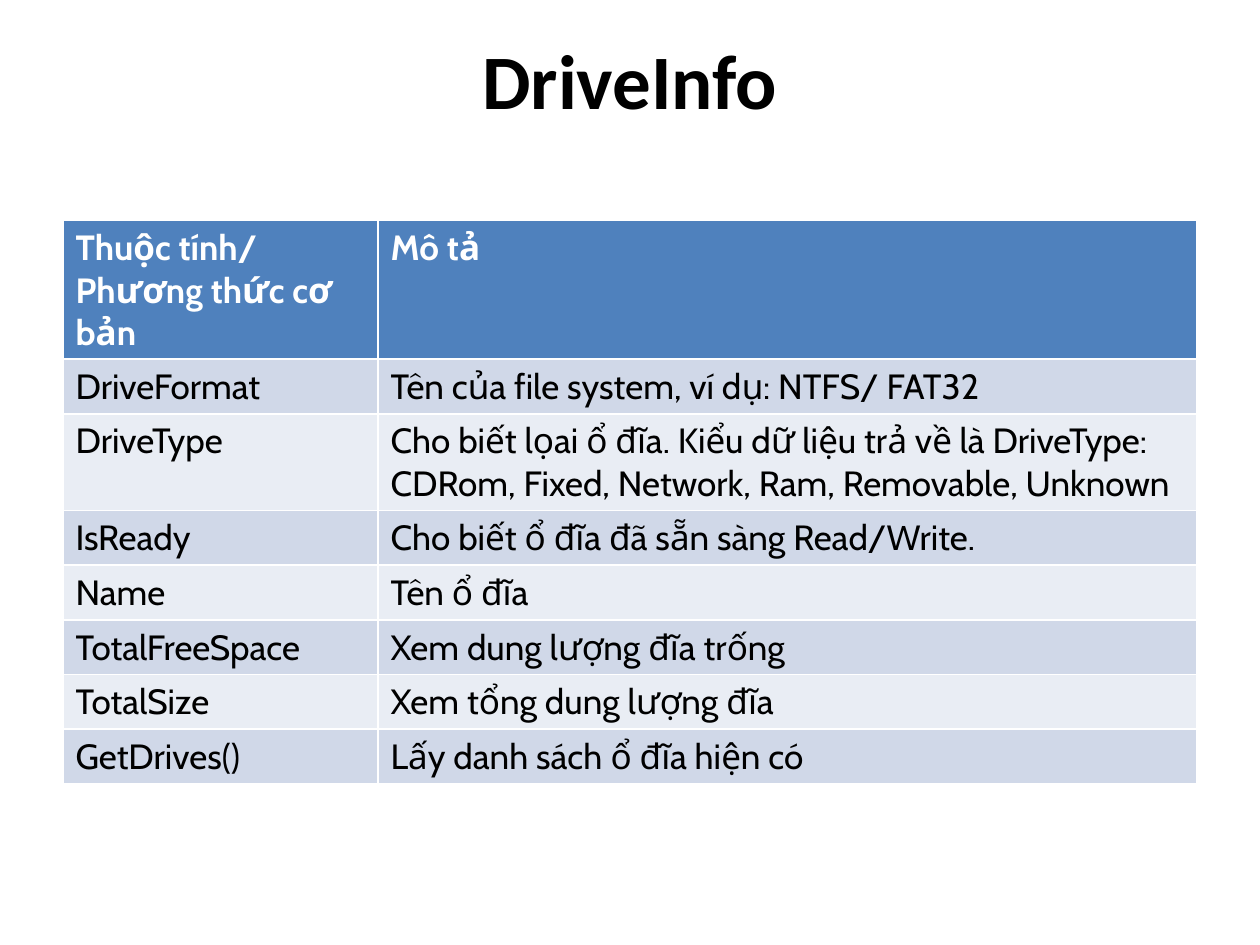
"""Build a slide with a table of the main DriveInfo members."""
from pptx import Presentation
from pptx.dml.color import RGBColor
from pptx.enum.text import MSO_ANCHOR, PP_ALIGN
from pptx.util import Inches, Pt

TITLE = "DriveInfo"
HEADER = ("Thuộc tính/ Phương thức cơ bản", "Mô tả")
MEMBERS = [
    ("DriveFormat", "Tên của file system, ví dụ: NTFS/ FAT32"),
    ("DriveType", "Cho biết lọai ổ đĩa. Kiểu dữ liệu trả về là DriveType: "
                  "CDRom, Fixed, Network, Ram, Removable, Unknown"),
    ("IsReady", "Cho biết ổ đĩa đã sẵn sàng Read/Write."),
    ("Name", "Tên ổ đĩa"),
    ("TotalFreeSpace", "Xem dung lượng đĩa trống"),
    ("TotalSize", "Xem tổng dung lượng đĩa"),
    ("GetDrives()", "Lấy danh sách ổ đĩa hiện có"),
]

BLACK = RGBColor(0x00, 0x00, 0x00)
WHITE = RGBColor(0xFF, 0xFF, 0xFF)
HEADER_BLUE = RGBColor(0x4F, 0x81, 0xBD)
BANDS = (RGBColor(0xE9, 0xED, 0xF4), RGBColor(0xD0, 0xD8, 0xE8))

SLIDE_WIDTH, SLIDE_HEIGHT = Inches(10), Inches(7.5)
MARGIN = Inches(0.5)
CONTENT_WIDTH = SLIDE_WIDTH - 2 * MARGIN
TITLE_HEIGHT = Inches(1.25)
TABLE_TOP = Inches(1.75)
ROW_HEIGHT = Inches(0.41)
NAME_WIDTH = Inches(2.5)


def style_paragraph(paragraph, name, size, color, bold):
    font = paragraph.font
    font.name, font.size, font.bold = name, Pt(size), bold
    font.color.rgb = color


def add_title(slide):
    box = slide.shapes.add_textbox(MARGIN, 0, CONTENT_WIDTH, TITLE_HEIGHT)
    frame = box.text_frame
    frame.word_wrap = True
    frame.vertical_anchor = MSO_ANCHOR.MIDDLE
    frame.text = TITLE
    paragraph = frame.paragraphs[0]
    paragraph.alignment = PP_ALIGN.CENTER
    style_paragraph(paragraph, "Calibri", 44, BLACK, True)


def add_member_table(slide):
    rows = [HEADER, *MEMBERS]
    table = slide.shapes.add_table(
        len(rows), len(HEADER), MARGIN, TABLE_TOP,
        CONTENT_WIDTH, ROW_HEIGHT * len(rows)).table
    table.columns[0].width = NAME_WIDTH
    table.columns[1].width = CONTENT_WIDTH - NAME_WIDTH
    for row_index, texts in enumerate(rows):
        is_header = row_index == 0
        fill_color = HEADER_BLUE if is_header else BANDS[row_index % 2]
        text_color = WHITE if is_header else BLACK
        for column_index, text in enumerate(texts):
            cell = table.cell(row_index, column_index)
            cell.fill.solid()
            cell.fill.fore_color.rgb = fill_color
            cell.text = text
            style_paragraph(cell.text_frame.paragraphs[0], "Cabin", 20, text_color, is_header)


def main():
    presentation = Presentation()
    presentation.slide_width, presentation.slide_height = SLIDE_WIDTH, SLIDE_HEIGHT
    slide = presentation.slides.add_slide(presentation.slide_layouts[6])
    add_title(slide)
    add_member_table(slide)
    presentation.save("out.pptx")


if __name__ == "__main__":
    main()
